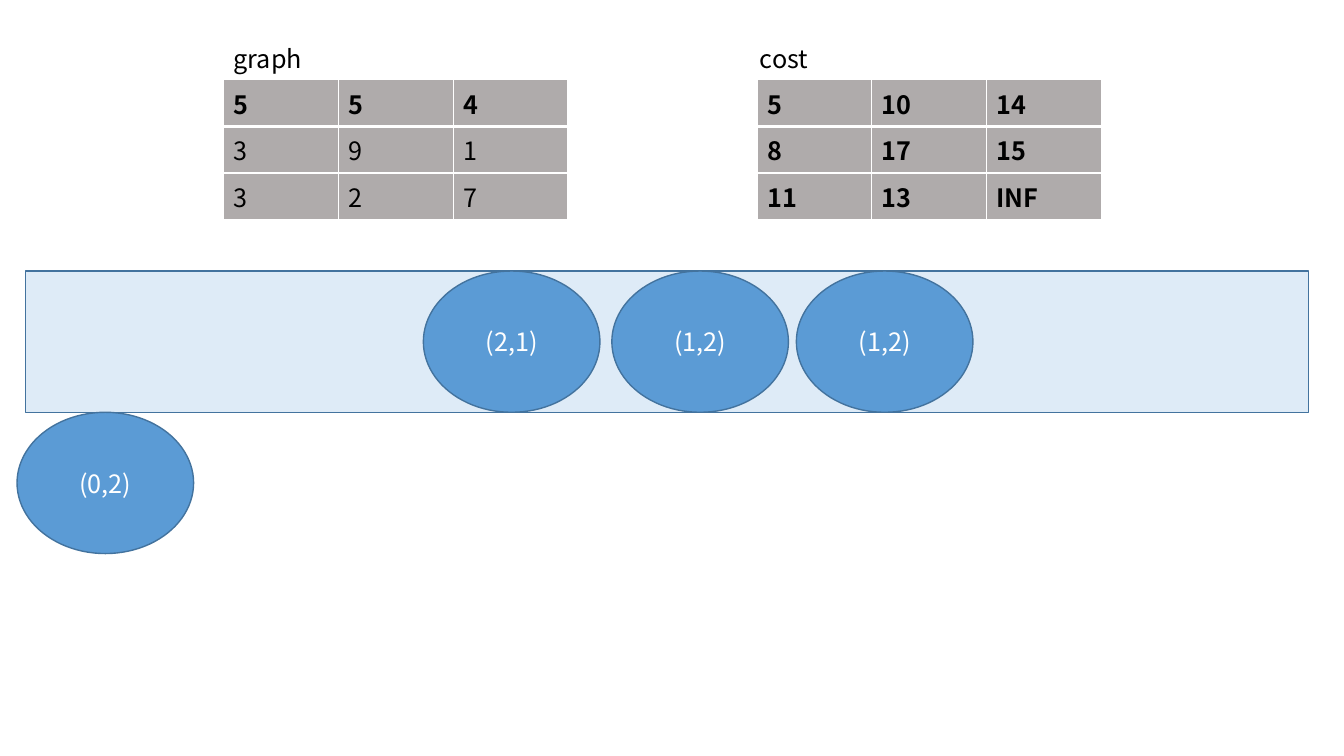
from dataclasses import dataclass

from lxml import etree
from pptx import Presentation
from pptx import util as u
from pptx.dml.color import RGBColor
from pptx.enum import shapes, text
from pptx.oxml import ns


@dataclass(frozen=True)
class Theme:
    font: str = "Noto Sans CJK KR"
    size: int = 18
    ink: str = "000000"
    light: str = "FFFFFF"
    cell: str = "AFABAB"
    band: str = "DEEBF7"
    node: str = "5B9BD5"
    outline: str = "43739E"
    thin: int = 1
    thick: int = 3


THEME = Theme()
COLUMN_WIDTH, ROW_HEIGHT = 2.89, 1.03
QUEUE_TOP, QUEUE_HEIGHT = 6.83, 3.56
NODE_WIDTH = 4.45


def lengths(*values):
    return [u.Cm(value) for value in values]


def write(frame, content, *, color=THEME.ink, bold=False, align=None):
    """Put one formatted line of text into a text frame."""
    para = frame.paragraphs[0]
    if align is not None:
        para.alignment = align
    span = para.add_run()
    span.text = content
    span.font.name = THEME.font
    span.font.size = u.Pt(THEME.size)
    span.font.bold = bold
    span.font.color.rgb = RGBColor.from_string(color)


def add_label(page, content, left, top):
    box = page.shapes.add_textbox(*lengths(left, top, 2.84, 1.02))
    box.text_frame.word_wrap = True
    write(box.text_frame, content)


def add_figure(page, kind, fill, left, top, width, height):
    figure = page.shapes.add_shape(kind, *lengths(left, top, width, height))
    figure.shadow.inherit = False
    figure.fill.solid()
    figure.fill.fore_color.rgb = RGBColor.from_string(fill)
    figure.line.color.rgb = RGBColor.from_string(THEME.outline)
    figure.line.width = u.Pt(THEME.thin)
    return figure


def add_node(page, content, left, top):
    node = add_figure(page, shapes.MSO_SHAPE.OVAL, THEME.node,
                      left, top, NODE_WIDTH, QUEUE_HEIGHT)
    node.text_frame.vertical_anchor = text.MSO_ANCHOR.MIDDLE
    write(node.text_frame, content, color=THEME.light,
          align=text.PP_ALIGN.CENTER)


def set_borders(cell, top, bottom):
    """Draw the four cell edges; they must precede the cell fill."""
    properties = cell._tc.get_or_add_tcPr()
    edges = {"L": THEME.thin, "R": THEME.thin, "T": top, "B": bottom}
    for side, width in edges.items():
        line = etree.SubElement(properties, ns.qn(f"a:ln{side}"),
                                w=str(u.Pt(width)))
        fill = etree.SubElement(line, ns.qn("a:solidFill"))
        etree.SubElement(fill, ns.qn("a:srgbClr"), val=THEME.light)


def add_matrix(page, rows, left, top, bold_rows):
    columns = len(rows[0])
    size = lengths(left, top, columns * COLUMN_WIDTH, len(rows) * ROW_HEIGHT)
    table = page.shapes.add_table(len(rows), columns, *size).table
    for column in table.columns:
        column.width = u.Cm(COLUMN_WIDTH)
    for i, values in enumerate(rows):
        table.rows[i].height = u.Cm(ROW_HEIGHT)
        for j, value in enumerate(values):
            cell = table.cell(i, j)
            set_borders(cell,
                        top=THEME.thick if i == 1 else THEME.thin,
                        bottom=THEME.thick if i == 0 else THEME.thin)
            cell.fill.solid()
            cell.fill.fore_color.rgb = RGBColor.from_string(THEME.cell)
            write(cell.text_frame, value, bold=i < bold_rows)


def main():
    deck = Presentation()
    deck.slide_width, deck.slide_height = lengths(33.87, 19.05)
    page = deck.slides.add_slide(deck.slide_layouts[6])

    # Matrices
    graph = [("5", "5", "4"), ("3", "9", "1"), ("3", "2", "7")]
    cost = [("5", "10", "14"), ("8", "17", "15"), ("11", "13", "INF")]
    add_matrix(page, graph, 5.64, 2.01, bold_rows=1)
    add_matrix(page, cost, 19.08, 2.01, bold_rows=3)

    # Queue band
    add_figure(page, shapes.MSO_SHAPE.RECTANGLE, THEME.band,
               0.64, QUEUE_TOP, 32.33, QUEUE_HEIGHT)

    # Matrix names
    add_label(page, "graph", 5.64, 0.97)
    add_label(page, "cost", 18.9, 0.97)

    # Node taken from the queue, then the nodes still waiting
    add_node(page, "(0,2)", 0.43, QUEUE_TOP + QUEUE_HEIGHT)
    for content, left in (("(2,1)", 10.67), ("(1,2)", 15.42), ("(1,2)", 20.07)):
        add_node(page, content, left, QUEUE_TOP)

    deck.save("out.pptx")


if __name__ == "__main__":
    main()
